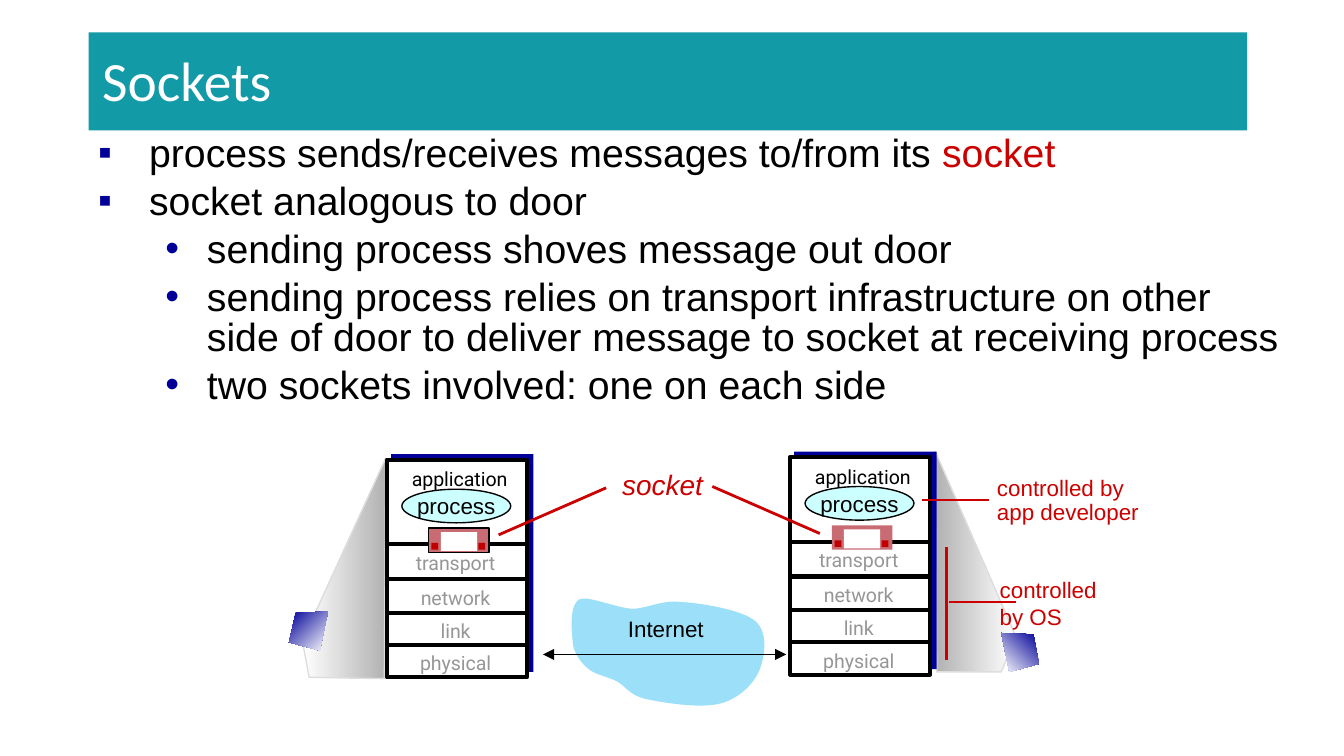
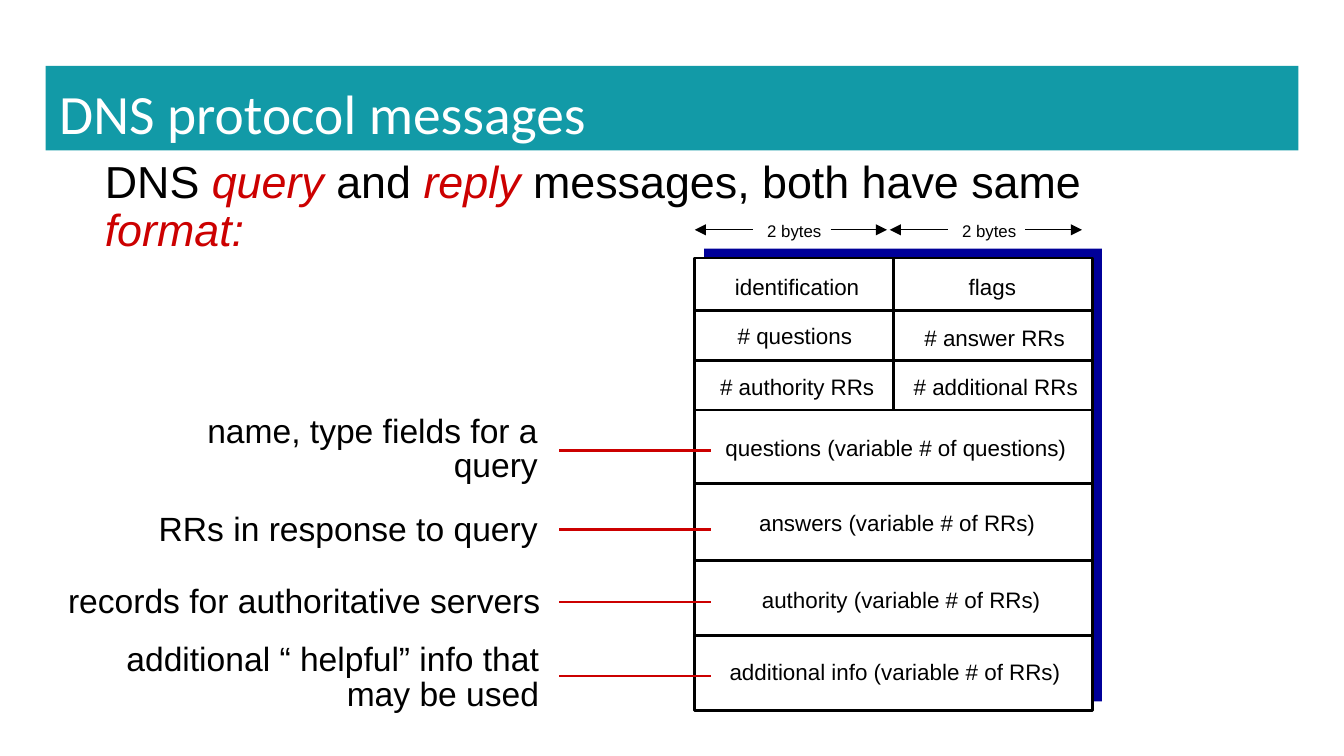
from dataclasses import dataclass, field
from typing import NamedTuple, Optional

from lxml.etree import SubElement
from pptx import Presentation
from pptx.dml.color import RGBColor
from pptx.enum.shapes import MSO_CONNECTOR, MSO_SHAPE
from pptx.enum.text import MSO_ANCHOR, MSO_AUTO_SIZE, PP_ALIGN
from pptx.oxml.ns import qn
from pptx.util import Emu, Pt

PX = 9144  # EMU in one px, 100 px to the inch

TEAL = RGBColor(0x12, 0x9A, 0xA7)
WHITE = RGBColor(0xFF, 0xFF, 0xFF)
BLACK = RGBColor(0x00, 0x00, 0x00)
RED = RGBColor(0xCC, 0x00, 0x00)
DARK_RED = RGBColor(0xC0, 0x00, 0x00)
ROSE = RGBColor(0xC9, 0x6B, 0x72)
NAVY = RGBColor(0x00, 0x00, 0x99)
SKY = RGBColor(0x9C, 0xDF, 0xF9)
PALE_CYAN = RGBColor(0xCC, 0xFF, 0xFF)
GREY = RGBColor(0x96, 0x96, 0x96)
SHADE = RGBColor(0xB2, 0xB2, 0xB2)
PALE_GREY = RGBColor(0xDD, 0xDD, 0xDD)


class Box(NamedTuple):
    left: int
    top: int
    width: int
    height: int

    def emu(self) -> list[Emu]:
        return [px(value) for value in self]


class Span(NamedTuple):
    text: str
    colour: Optional[RGBColor] = None
    italic: bool = False


class Bullet(NamedTuple):
    char: str
    margin: int
    hanging: int


class Wedge(NamedTuple):
    points: list
    start: RGBColor
    end: RGBColor
    angle: int
    outline: Optional[RGBColor] = None


@dataclass(frozen=True)
class TextStyle:
    size: float
    font: str = "Arial"
    colour: RGBColor = BLACK
    para: dict = field(default_factory=dict)
    frame: dict = field(default_factory=dict)


GROW = {"auto_size": MSO_AUTO_SIZE.SHAPE_TO_FIT_TEXT}
ONE_LINE = GROW | {"word_wrap": False}
CENTRED = {"alignment": PP_ALIGN.CENTER}

TITLE = TextStyle(29.7, "Calibri", WHITE, {"alignment": PP_ALIGN.LEFT}, {
    "auto_size": MSO_AUTO_SIZE.NONE, "vertical_anchor": MSO_ANCHOR.TOP,
    **{f"margin_{side}": Emu(10 * PX) for side in ("left", "top", "right", "bottom")}})
BULLETS = TextStyle(21, para={"line_spacing": 0.85}, frame={
    "margin_left": Emu(7 * PX), "margin_right": Emu(7 * PX),
    "margin_top": Emu(4 * PX), "margin_bottom": Emu(4 * PX)})
LAYER = TextStyle(10.5, "Roboto", GREY, CENTRED | {"line_spacing": 1.1}, GROW)
APPLICATION = TextStyle(10.5, "Roboto", BLACK, LAYER.para, GROW)
PROCESS = TextStyle(12, para=CENTRED, frame={
    "word_wrap": False, "vertical_anchor": MSO_ANCHOR.MIDDLE})
CLOUD_LABEL = TextStyle(12, para=CENTRED, frame=ONE_LINE)
OS_NOTE = TextStyle(12, colour=RED, frame=ONE_LINE)
DEVELOPER_NOTE = TextStyle(12, colour=RED, para={"line_spacing": 0.9}, frame=ONE_LINE)
SOCKET_NOTE = TextStyle(15, colour=RED, para={"line_spacing": 0.9}, frame=ONE_LINE)
INTRO = TextStyle(24, para={"line_spacing": 0.9})
FIELD = TextStyle(12, frame=ONE_LINE)
BYTES = TextStyle(9, frame=ONE_LINE)
EXPLANATION = TextStyle(18, para={"alignment": PP_ALIGN.RIGHT, "line_spacing": 0.85},
                        frame=GROW | {"vertical_anchor": MSO_ANCHOR.MIDDLE})


def px(value: float) -> Emu:
    return Emu(round(value * PX))


def set_all(target, formats: dict) -> None:
    for name, value in formats.items():
        setattr(target, name, value)


def add_bullet(para, bullet: Bullet) -> None:
    props = para._p.get_or_add_pPr()
    props.set("marL", str(px(bullet.margin)))
    props.set("indent", str(-px(bullet.hanging)))
    colour = SubElement(props, qn("a:buClr"))
    SubElement(colour, qn("a:srgbClr"), val=str(NAVY))
    SubElement(props, qn("a:buFont"), typeface="Arial")
    SubElement(props, qn("a:buChar"), char=bullet.char)


def write(frame, style: TextStyle, *lines: list[Span], bullets: tuple = ()) -> None:
    """Fill a text frame with one paragraph for each list of spans."""
    set_all(frame, {"word_wrap": True} | style.frame)
    for index, spans in enumerate(lines):
        para = frame.add_paragraph() if index else frame.paragraphs[0]
        if bullets:
            add_bullet(para, bullets[index])
            if index:
                para.space_before = Pt(style.size * 0.2)
        set_all(para, style.para)
        for span in spans:
            run = para.add_run()
            run.text = span.text
            set_all(run.font, {"size": Pt(style.size), "name": style.font,
                               "italic": span.italic})
            run.font.color.rgb = span.colour or style.colour


def add_text(page, box: Box, style: TextStyle, *lines: list[Span], bullets: tuple = ()):
    shape = page.shapes.add_textbox(*box.emu())
    write(shape.text_frame, style, *lines, bullets=bullets)
    return shape


def set_outline(shape, colour: Optional[RGBColor], weight: float) -> None:
    shape.shadow.inherit = False
    if colour is None:
        shape.line.fill.background()
    else:
        shape.line.color.rgb = colour
        shape.line.width = Pt(weight)


def add_block(page, box: Box, fill: RGBColor, outline: Optional[RGBColor] = None,
              weight: float = 0.75, kind=MSO_SHAPE.RECTANGLE):
    shape = page.shapes.add_shape(kind, *box.emu())
    shape.fill.solid()
    shape.fill.fore_color.rgb = fill
    set_outline(shape, outline, weight)
    return shape


def add_line(page, start: tuple, end: tuple, colour: RGBColor, weight: float,
             arrows: tuple = ()) -> None:
    line = page.shapes.add_connector(
        MSO_CONNECTOR.STRAIGHT, *(px(value) for value in (*start, *end)))
    line.line.color.rgb = colour
    line.line.width = Pt(weight)
    props = line._element.spPr
    for arrow in arrows:
        SubElement(props.find(qn("a:ln")), qn(f"a:{arrow}"), type="triangle")
    SubElement(props, qn("a:effectLst"))


def add_outline(page, points: list):
    first, *rest = [(px(x), px(y)) for x, y in points]
    builder = page.shapes.build_freeform(*first)
    builder.add_line_segments(rest, close=True)
    return builder.convert_to_shape()


def add_wedge(page, wedge: Wedge) -> None:
    shape = add_outline(page, wedge.points)
    shape.fill.gradient()
    shape.fill.gradient_angle = wedge.angle
    for stop, colour in zip(shape.fill.gradient_stops, (wedge.start, wedge.end)):
        stop.color.rgb = colour
    set_outline(shape, wedge.outline, 0.75)


def smooth_points(start: tuple, curves: list, steps: int = 10) -> list:
    """Points along a chain of cubic curves, each given as two controls and an end."""
    points = [start]
    for first, second, end in curves:
        begin = points[-1]
        for step in range(1, steps + 1):
            t = step / steps
            weights = ((1 - t) ** 3, 3 * t * (1 - t) ** 2, 3 * t * t * (1 - t), t ** 3)
            points.append(tuple(sum(w * p[axis] for w, p in
                                    zip(weights, (begin, first, second, end)))
                                for axis in (0, 1)))
    return points


def add_title_page(deck, title: str, band: Box):
    page = deck.slides.add_slide(deck.slide_layouts[5])
    shape = page.shapes.title
    set_all(shape, dict(zip(("left", "top", "width", "height"), band.emu())))
    shape.fill.solid()
    shape.fill.fore_color.rgb = TEAL
    write(shape.text_frame, TITLE, [Span(title)])
    return page


LAYERS = {"transport": 63, "network": 89, "link": 114, "physical": 138}


def draw_server(page, left: int, top: int, socket_outline: Optional[RGBColor]) -> None:
    add_block(page, Box(left + 3, top - 4, 106, 162), NAVY)
    add_block(page, Box(left, top, 104, 162), WHITE, BLACK, 2.25)
    for name, offset in LAYERS.items():
        add_line(page, (left, top + offset), (left + 104, top + offset), BLACK, 2.25)
        add_text(page, Box(left - 3, top + offset - 2, 108, 28), LAYER, [Span(name)])
    add_text(page, Box(left, top - 1, 108, 28), APPLICATION, [Span("application")])
    process = add_block(page, Box(left + 11, top + 22, 81, 25), PALE_CYAN, BLACK,
                        kind=MSO_SHAPE.OVAL)
    write(process.text_frame, PROCESS, [Span("process")])
    add_block(page, Box(left + 31, top + 51, 45, 18), ROSE, socket_outline)
    add_block(page, Box(left + 40, top + 54, 27, 14), WHITE)
    for button in (33, 68):
        add_block(page, Box(left + button, top + 62, 5, 5), DARK_RED)


CLOUD_CURVES = [
    ((425, 467), (424, 450), (431, 446)), ((438, 443), (457, 452), (470, 453)),
    ((482, 453), (492, 446), (508, 448)), ((523, 449), (554, 454), (563, 463)),
    ((572, 472), (569, 491), (564, 501)), ((559, 511), (548, 521), (534, 524)),
    ((520, 527), (493, 523), (480, 520)), ((468, 517), (466, 511), (459, 507)),
    ((451, 503), (442, 502), (437, 497)), ((431, 492), (426, 484), (426, 476))]
SIDE_SHADES = [
    Wedge([(756, 474), (696, 336), (697, 500), (745, 500)], SHADE, WHITE, 0, PALE_GREY),
    Wedge([(225, 477), (287, 341), (286, 505), (230, 504)], WHITE, SHADE, 0, PALE_GREY)]
HOSTS = [
    Wedge([(244, 455), (220, 456), (215, 478), (238, 484)], NAVY, WHITE, 315),
    Wedge([(745, 471), (769, 472), (773, 494), (751, 500)], NAVY, WHITE, 225)]
POINTERS = [((736, 372), (686, 372)), ((704, 407), (704, 491)), ((756, 448), (706, 448)),
            ((371, 398), (451, 363)), ((610, 397), (530, 362))]


def build_sockets(deck) -> None:
    page = add_title_page(deck, "Sockets", Box(66, 24, 862, 73))
    main, sub = Bullet("▪", 38, 38), Bullet("•", 81, 31)
    add_text(page, Box(66, 97, 899, 191), BULLETS,
             [Span("process sends/receives messages to/from its "), Span("socket", RED)],
             [Span("socket analogous to door")],
             [Span("sending process shoves message out door")],
             [Span("sending process relies on transport infrastructure on other side "
                   "of door to deliver message to socket at receiving process")],
             [Span("two sockets involved: one on each side")],
             bullets=(main, main, sub, sub, sub))
    for shade in SIDE_SHADES:
        add_wedge(page, shade)
    cloud = add_outline(page, smooth_points((426, 476), CLOUD_CURVES))
    cloud.fill.solid()
    cloud.fill.fore_color.rgb = SKY
    set_outline(cloud, None, 0)
    add_text(page, Box(457, 453, 77, 30), CLOUD_LABEL, [Span("Internet")])
    add_line(page, (404, 487), (585, 487), BLACK, 0.75, ("headEnd", "tailEnd"))
    add_text(page, Box(734, 424, 93, 71), OS_NOTE, [Span("controlled")], [Span("by OS")])
    add_text(page, Box(732, 350, 126, 46), DEVELOPER_NOTE,
             [Span("controlled by")], [Span("app developer")])
    draw_server(page, 288, 342, BLACK)
    draw_server(page, 588, 340, None)
    for start, end in POINTERS:
        add_line(page, start, end, RED, 1.5)
    add_text(page, Box(453, 346, 81, 33), SOCKET_NOTE, [Span("socket", italic=True)])
    for host in HOSTS:
        add_wedge(page, host)


FIELDS = {
    "identification": Box(537, 198, 113, 30), "flags": Box(711, 198, 56, 30),
    "# questions": Box(539, 235, 106, 30), "# answer RRs": Box(678, 236, 126, 30),
    "# authority RRs": Box(526, 273, 136, 30), "# additional RRs": Box(670, 273, 143, 30),
    "questions (variable # of questions)": Box(530, 318, 276, 30),
    "answers (variable # of RRs)": Box(555, 374, 227, 30),
    "authority (variable # of RRs)": Box(557, 431, 229, 30),
    "additional info (variable # of RRs)": Box(533, 485, 268, 30)}
EXPLANATIONS = {
    "name, type fields for a query": (Box(84, 304, 326, 62), 335),
    "RRs in response to query": (Box(82, 377, 328, 36), 394),
    "records for authoritative servers": (Box(18, 431, 394, 36), 448),
    "additional “ helpful” info that may be used": (Box(33, 474, 378, 62), 503)}


def build_dns(deck) -> None:
    page = add_title_page(deck, "DNS protocol messages", Box(34, 49, 932, 63))
    intro = add_text(page, Box(57, 114, 852, 42), INTRO, [
        Span("DNS "), Span("query ", RED, True), Span("and "), Span("reply", RED, True),
        Span(" messages, both have same "), Span("format:", RED, True)])
    intro.text_frame.margin_left = px(21)
    add_block(page, Box(524, 185, 296, 337), NAVY)
    add_block(page, Box(517, 192, 296, 337), WHITE, BLACK, 1.5)
    for y in (231, 268, 305, 360, 417, 473):
        add_line(page, (516, y), (814, y), BLACK, 1.5)
    add_line(page, (665, 193), (665, 304), BLACK, 1.5)
    for name, box in FIELDS.items():
        add_text(page, box, FIELD, [Span(name)])
    for left in (517, 662):
        add_text(page, Box(left + 44, 159, 61, 25), BYTES, [Span("2 bytes")])
        for start, end in ((43, 0), (101, 143)):
            add_line(page, (left + start, 171), (left + end, 171), BLACK, 0.75, ("tailEnd",))
    for text, (box, y) in EXPLANATIONS.items():
        add_text(page, box, EXPLANATION, [Span(text)])
        add_line(page, (529, y), (416, y), RED, 1.5)


def main() -> None:
    deck = Presentation()
    deck.slide_width = px(1000)
    deck.slide_height = Emu(deck.slide_width * 9 // 16)
    build_sockets(deck)
    build_dns(deck)
    deck.save("out.pptx")


if __name__ == "__main__":
    main()
